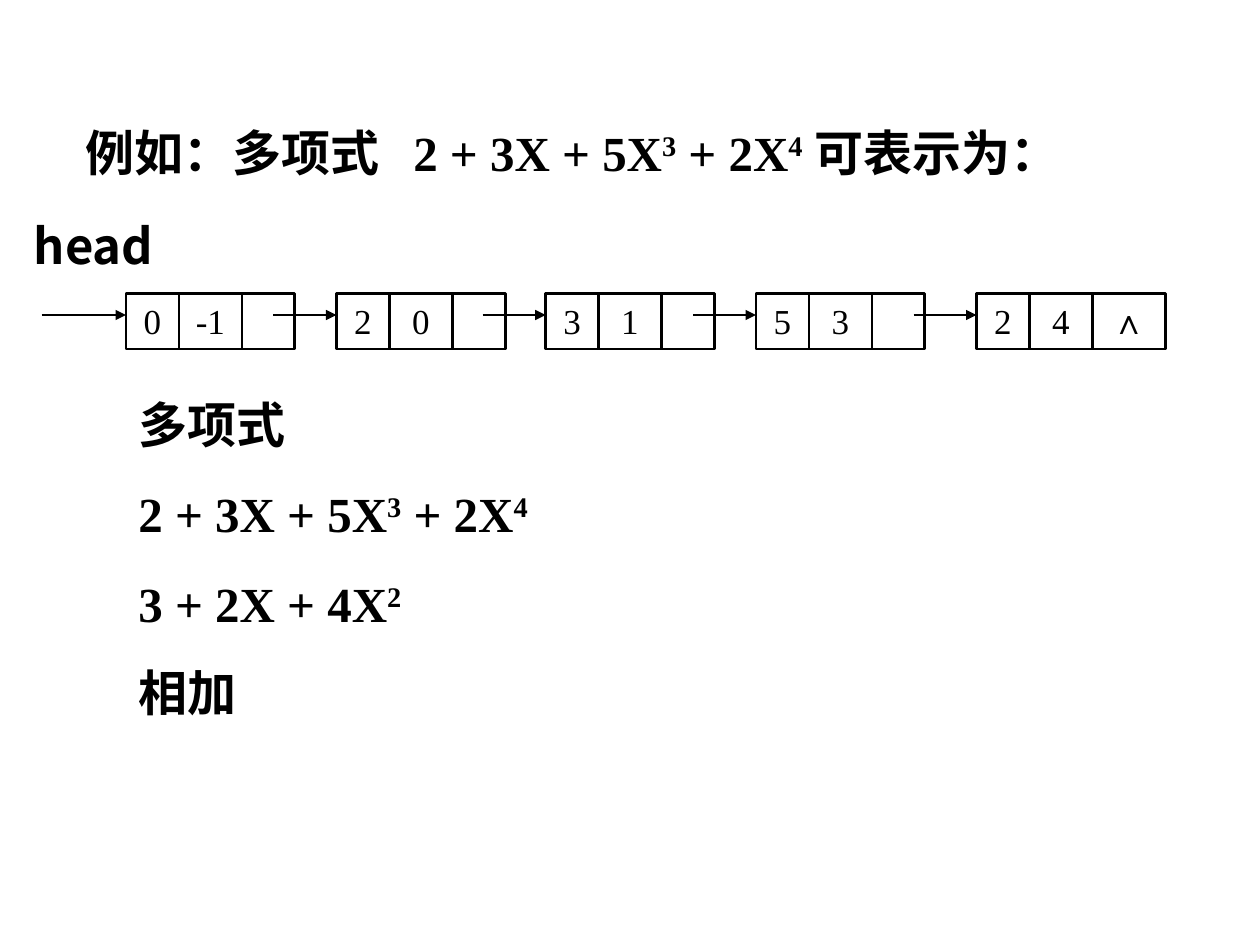
import pptx
import pptx.util
import pptx.dml.color
import pptx.enum.shapes
import pptx.enum.text
import pptx.oxml
import pptx.oxml.ns
from lxml import etree

Inches, Pt = pptx.util.Inches, pptx.util.Pt
BLACK = pptx.dml.color.RGBColor(0, 0, 0)
LATIN, CJK = "Times New Roman", "Noto Sans CJK SC"
LEFT, CENTER = pptx.enum.text.PP_ALIGN.LEFT, pptx.enum.text.PP_ALIGN.CENTER

POLYNOMIAL = "2 + 3X + 5X^3^ + 2X^4^"
CELL_WIDTHS = (0.42, 0.5, 0.42)
NODES = [
    (1, ("0", "-1", "")),
    (2.67, ("2", "0", "")),
    (4.33, ("3", "1", "")),
    (6, ("5", "3", "")),
    (7.75, ("2", "4", "∧")),
]


def sub(parent, tag, **attrs):
    return etree.SubElement(parent, pptx.oxml.ns.qn(tag), **attrs)


def write(sp, *lines, size=28, bold=True, font=LATIN, align=LEFT,
          spacing=1.0, tab=None):
    """Fill a shape with paragraphs; text between ^ marks is superscript."""
    tf = sp.text_frame
    tf.word_wrap = True
    tf.auto_size = pptx.enum.text.MSO_AUTO_SIZE.NONE
    tf.vertical_anchor = pptx.enum.text.MSO_ANCHOR.TOP
    for i, line in enumerate(lines):
        p = tf.add_paragraph() if i else tf.paragraphs[0]
        p.alignment = align
        p.line_spacing = spacing
        p.space_before = Pt(17.5 if i else 0)
        if tab:
            tabs = sub(p._p.get_or_add_pPr(), "a:tabLst")
            sub(tabs, "a:tab", pos=str(Inches(tab)), algn="l")
        for j, part in enumerate(line.split("^")):
            if not part:
                continue
            r = p.add_run()
            r.text = part
            r.font.size, r.font.bold, r.font.name = Pt(size), bold, font
            r.font.color.rgb = BLACK
            rPr = r._r.get_or_add_rPr()
            sub(rPr, "a:ea", typeface=CJK)
            if j % 2:
                rPr.set("baseline", "30000")


def add_title(s, x, y, w, h):
    sp = s.shapes.title
    sp.left, sp.top, sp.width, sp.height = map(Inches, (x, y, w, h))
    write(sp, f"例如：多项式\t{POLYNOMIAL} 可表示为：", tab=2.6)


def add_text(s, x, y, w, h, *lines, **fmt):
    write(s.shapes.add_textbox(*map(Inches, (x, y, w, h))), *lines, **fmt)


def add_node(s, x, y, h, values, widths):
    for value, w in zip(values, widths):
        sp = s.shapes.add_shape(pptx.enum.shapes.MSO_SHAPE.RECTANGLE,
                                *map(Inches, (x, y, w, h)))
        sp.shadow.inherit = False
        sp.fill.background()
        sp.line.color.rgb = BLACK
        sp.line.width = Pt(1.5)
        if value:
            write(sp, value, size=20, bold=False, align=CENTER)
        x += w


def add_arrow(s, x1, x2, y):
    c = s.shapes.add_connector(pptx.enum.shapes.MSO_CONNECTOR.STRAIGHT,
                               *map(Inches, (x1, y, x2, y)))
    c.line.color.rgb = BLACK
    c.line.width = Pt(1.5)
    sub(c.line._get_or_add_ln(), "a:tailEnd", type="triangle")
    sub(c._element.spPr, "a:effectLst")


def add_linked_list(s, y, h):
    """Draw the nodes, then one arrow ending at the left side of each."""
    for x, values in NODES:
        last_width = 0.58 if values[-1] else CELL_WIDTHS[-1]
        add_node(s, x, y, h, values, (*CELL_WIDTHS[:-1], last_width))
    for i, (x, _) in enumerate(NODES):
        add_arrow(s, x - (0.5 if i else 0.67), x, y + 0.17)


def main():
    prs = pptx.Presentation()
    prs.slide_width, prs.slide_height = Inches(10), Inches(7.5)
    s = prs.slides.add_slide(prs.slide_layouts[5])
    add_title(s, 0.58, 0.92, 8.83, 0.57)
    add_linked_list(s, 2.33, 0.44)
    add_text(s, 1, 3.08, 5.92, 2.7,
             "多项式", POLYNOMIAL, "3 + 2X + 4X^2^", "相加")
    add_text(s, 0.17, 1.75, 1.33, 0.48, "head", font=CJK, spacing=0.8)
    prs.save("out.pptx")


if __name__ == "__main__":
    main()
